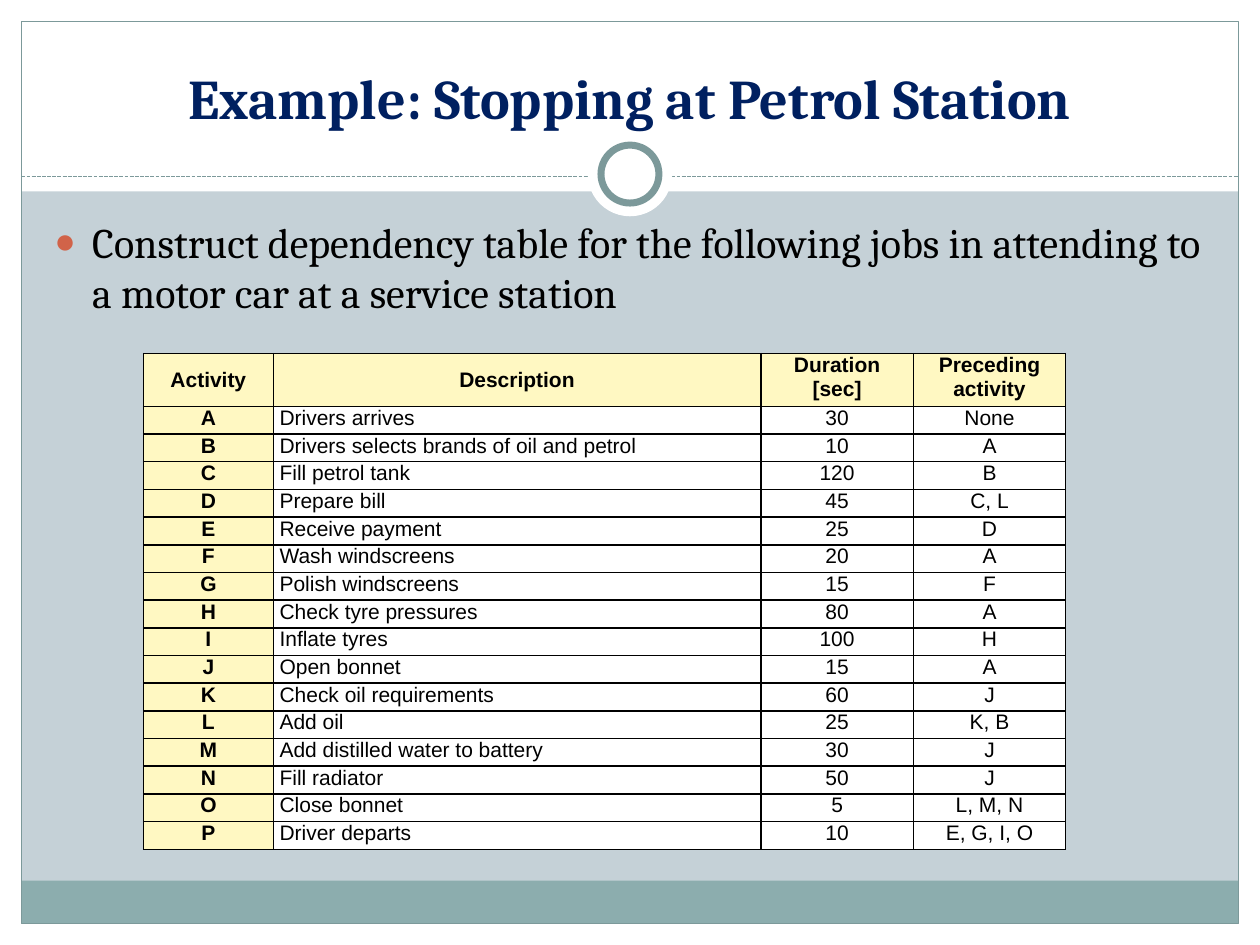
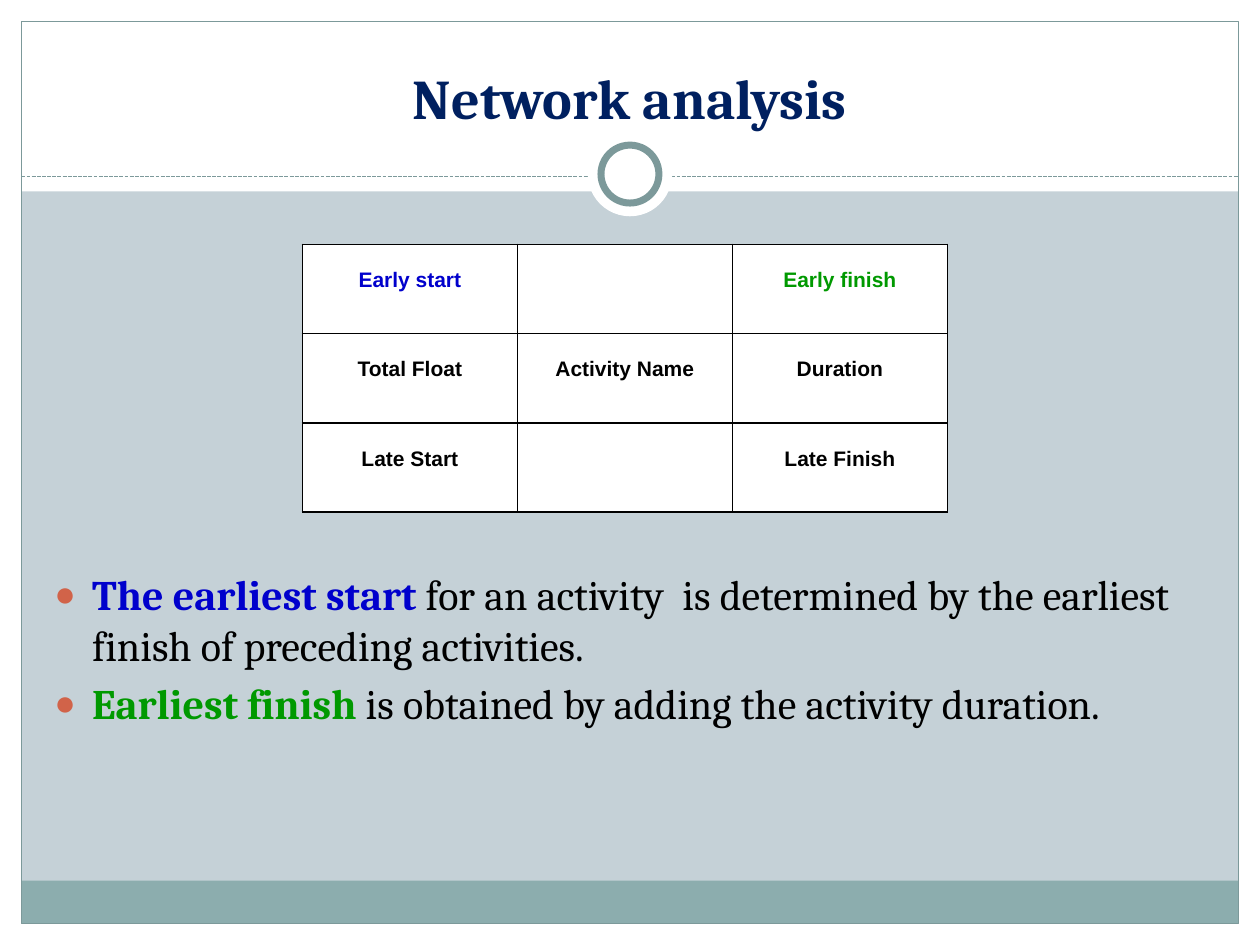
"""Build two slides on project networks: a job table and a node key."""
from lxml.etree import SubElement
from pptx import Presentation
from pptx.dml.color import RGBColor
from pptx.enum.dml import MSO_LINE
from pptx.enum.shapes import MSO_CONNECTOR, MSO_SHAPE
from pptx.enum.text import MSO_ANCHOR, PP_ALIGN
from pptx.oxml.ns import qn
from pptx.util import Pt

WHITE = RGBColor(0xFF, 0xFF, 0xFF)
BLACK = RGBColor(0, 0, 0)
MIST = RGBColor(0xC5, 0xD1, 0xD7)
TEAL = RGBColor(0x8C, 0xAD, 0xAE)
SLATE = RGBColor(0x7C, 0x99, 0x9A)
NAVY = RGBColor(0x00, 0x20, 0x60)
RUST = RGBColor(0xD1, 0x63, 0x49)
CREAM = RGBColor(0xFF, 0xF8, 0xC2)
BLUE = RGBColor(0x00, 0x00, 0xCC)
GREEN = RGBColor(0x00, 0x99, 0x00)

WIDE, HIGH, EDGE = 720, 540, 12.24
HEAD, RULE = 109.44, 100.8
HUB = (360, 99.5)

TITLE = {"name": "Cambria", "size": Pt(32), "bold": True}
BODY = {"name": "Cambria", "size": Pt(24), "bold": False}
STRONG = {**BODY, "bold": True}
CELL = {"name": "Arial", "size": Pt(12), "bold": False}
LABEL = {**CELL, "bold": True}
INSET = {"margin_left": Pt(3.6), "margin_right": Pt(3.6),
         "margin_top": Pt(0), "margin_bottom": Pt(0)}

JOBS = [
    ("Activity", "Description", "Duration [sec]", "Preceding activity"),
    ("A", "Drivers arrives", "30", "None"),
    ("B", "Drivers selects brands of oil and petrol", "10", "A"),
    ("C", "Fill petrol tank", "120", "B"),
    ("D", "Prepare bill", "45", "C, L"),
    ("E", "Receive payment", "25", "D"),
    ("F", "Wash windscreens", "20", "A"),
    ("G", "Polish windscreens", "15", "F"),
    ("H", "Check tyre pressures", "80", "A"),
    ("I", "Inflate tyres", "100", "H"),
    ("J", "Open bonnet", "15", "A"),
    ("K", "Check oil requirements", "60", "J"),
    ("L", "Add oil", "25", "K, B"),
    ("M", "Add distilled water to battery", "30", "J"),
    ("N", "Fill radiator", "50", "J"),
    ("O", "Close bonnet", "5", "L, M, N"),
    ("P", "Driver departs", "10", "E, G, I, O"),
]
NODE = [
    ("Early start", "", "Early finish"),
    ("Total Float", "Activity Name", "Duration"),
    ("Late Start", "", "Late Finish"),
]
TINTS = {"Early start": BLUE, "Early finish": GREEN}


def apply(item, values):
    """Set each attribute of the item from a dict."""
    for key, value in values.items():
        setattr(item, key, value)


def add_run(para, text, style, tint):
    """Add a styled run to a paragraph."""
    run = para.add_run()
    run.text = text
    apply(run.font, style)
    run.font.color.rgb = tint


def add_form(slide, kind, box, fill=None, line=None, weight=0.75):
    """Add a flat preset shape with optional fill and outline."""
    form = slide.shapes.add_shape(kind, *map(Pt, box))
    form.shadow.inherit = False
    if fill is None:
        form.fill.background()
    else:
        form.fill.solid()
        form.fill.fore_color.rgb = fill
    if line is None:
        form.line.fill.background()
    else:
        form.line.color.rgb = line
        form.line.width = Pt(weight)


def add_disc(slide, size, **look):
    """Add a white disc centred on the hub."""
    x, y = (mid - size / 2 for mid in HUB)
    add_form(slide, MSO_SHAPE.OVAL, (x, y, size, size), WHITE, **look)


def add_rule(slide):
    """Add the dashed rule under the title."""
    rule = slide.shapes.add_connector(
        MSO_CONNECTOR.STRAIGHT, Pt(EDGE), Pt(RULE), Pt(WIDE - EDGE), Pt(RULE))
    rule.line.color.rgb = SLATE
    apply(rule.line, {"width": Pt(0.75), "dash_style": MSO_LINE.SQUARE_DOT})
    SubElement(rule._element.spPr, qn("a:effectLst"))


def add_frame(slide):
    """Add the backdrop, bands, frame, rule and ring."""
    slide.background.fill.solid()
    slide.background.fill.fore_color.rgb = MIST
    inner = WIDE - 2 * EDGE
    bands = [
        ((0, HIGH - EDGE, WIDE, EDGE), WHITE),
        ((0, 0, WIDE, HEAD), WHITE),
        ((0, 0, EDGE, HIGH), WHITE),
        ((WIDE - EDGE, 0, EDGE, HIGH), WHITE),
        ((EDGE, HIGH - 3 * EDGE, inner, 2 * EDGE), TEAL),
    ]
    for box, fill in bands:
        add_form(slide, MSO_SHAPE.RECTANGLE, box, fill)
    add_form(slide, MSO_SHAPE.RECTANGLE,
             (EDGE, EDGE, inner, HIGH - 2 * EDGE), line=SLATE)
    add_rule(slide)
    add_disc(slide, 48.24)
    add_disc(slide, 33.12, line=SLATE, weight=4)


def add_text(slide, box, anchor):
    """Add a wrapped text box and return its frame."""
    frame = slide.shapes.add_textbox(*map(Pt, box)).text_frame
    apply(frame, {"word_wrap": True, "vertical_anchor": anchor})
    return frame


def add_title(slide, text):
    """Add the centred slide title."""
    frame = add_text(slide, (24, 18, 672, 60), MSO_ANCHOR.BOTTOM)
    para = frame.paragraphs[0]
    para.alignment = PP_ALIGN.CENTER
    add_run(para, text, TITLE, NAVY)


def set_bullet(para):
    """Give a paragraph a hanging round bullet."""
    props = para._p.get_or_add_pPr()
    apply(para, {"space_before": Pt(4.8)})
    props.set("marL", str(Pt(21.6)))
    props.set("indent", str(-Pt(21.6)))
    tint = SubElement(props, qn("a:buClr"))
    SubElement(tint, qn("a:srgbClr"), val=str(RUST))
    SubElement(props, qn("a:buSzPct"), val="85000")
    SubElement(props, qn("a:buFont"), typeface="Arial")
    SubElement(props, qn("a:buChar"), char="\u25cf")


def add_list(slide, top, items):
    """Add bullets, each a list of text, style and tint."""
    frame = add_text(slide, (24, top, 674, 480 - top), MSO_ANCHOR.TOP)
    for index, parts in enumerate(items):
        para = frame.add_paragraph() if index else frame.paragraphs[0]
        set_bullet(para)
        for part in parts:
            add_run(para, *part)


def add_edges(cell):
    """Draw thin black borders round a cell."""
    props = cell._tc.get_or_add_tcPr()
    for side in ("lnL", "lnR", "lnT", "lnB"):
        line = SubElement(props, qn(f"a:{side}"), w=str(Pt(1)))
        fill = SubElement(line, qn("a:solidFill"))
        SubElement(fill, qn("a:srgbClr"), val=str(BLACK))


def fill_cell(cell, text, style, tint=BLACK, fill=WHITE,
              align=PP_ALIGN.CENTER, **place):
    """Write and format one table cell."""
    add_edges(cell)
    cell.fill.solid()
    cell.fill.fore_color.rgb = fill
    apply(cell, {**INSET, **place})
    if text:
        para = cell.text_frame.paragraphs[0]
        para.alignment = align
        add_run(para, text, style, tint)


def add_grid(slide, spot, widths, heights):
    """Add a plain table with the given column and row sizes."""
    box = (*spot, sum(widths), sum(heights))
    grid = slide.shapes.add_table(
        len(heights), len(widths), *map(Pt, box)).table
    apply(grid, {"first_row": False, "horz_banding": False})
    for col, width in zip(grid.columns, widths):
        col.width = Pt(width)
    for row, height in zip(grid.rows, heights):
        row.height = Pt(height)
    return grid


def add_jobs(slide):
    """Add the job table with its cream header row and column."""
    heights = [30.24] + [15.84] * (len(JOBS) - 1)
    grid = add_grid(slide, (82, 202), (74.16, 278.64, 87.12, 87.12), heights)
    for r, row in enumerate(JOBS):
        for c, text in enumerate(row):
            head = r == 0 or c == 0
            fill_cell(
                grid.cell(r, c), text, LABEL if head else CELL,
                fill=CREAM if head else WHITE,
                align=PP_ALIGN.LEFT if r and c == 1 else PP_ALIGN.CENTER,
                vertical_anchor=MSO_ANCHOR.MIDDLE if r == 0 and c < 2
                else MSO_ANCHOR.TOP)


def add_node(slide):
    """Add the three by three key of an activity node."""
    grid = add_grid(slide, (172.8, 139.68), [122.88] * 3, [51] * 3)
    for r, row in enumerate(NODE):
        for c, text in enumerate(row):
            fill_cell(grid.cell(r, c), text, LABEL,
                      TINTS.get(text, BLACK), margin_top=Pt(13.8))


def add_page(deck, title):
    """Add a blank slide with the shared frame and a title."""
    slide = deck.slides.add_slide(deck.slide_layouts[6])
    add_frame(slide)
    add_title(slide, title)
    return slide


def main():
    """Build and save the deck."""
    deck = Presentation()
    apply(deck, {"slide_width": Pt(WIDE), "slide_height": Pt(HIGH)})

    slide = add_page(deck, "Example: Stopping at Petrol Station")
    add_list(slide, 120, [[(
        "Construct dependency table for the following jobs in attending to "
        "a motor car at a service station", BODY, BLACK)]])
    add_jobs(slide)

    slide = add_page(deck, "Network analysis")
    add_list(slide, 321.5, [
        [("The earliest start ", STRONG, BLUE),
         ("for an activity  is determined by the earliest finish of "
          "preceding activities.", BODY, BLACK)],
        [("Earliest finish ", STRONG, GREEN),
         ("is obtained by adding the activity duration.", BODY, BLACK)],
    ])
    add_node(slide)
    deck.save("out.pptx")


main()
